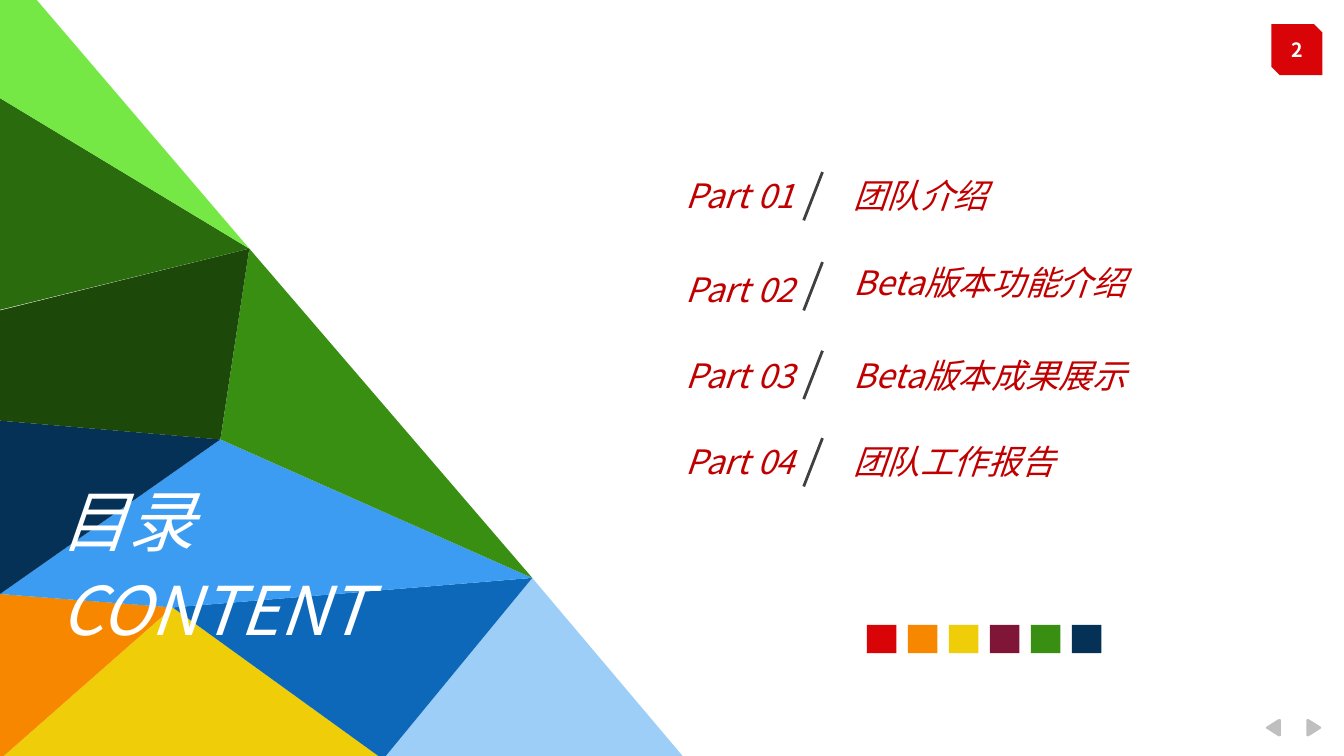
from lxml.etree import SubElement
from pptx import Presentation
from pptx.dml.color import RGBColor
from pptx.enum.shapes import MSO_CONNECTOR, MSO_SHAPE as SHAPE
from pptx.enum.text import PP_ALIGN as ALIGN
from pptx.oxml.ns import qn
from pptx.util import Pt

PX = 4572  # EMU per px, 200 px to the inch
FONT = "Noto Sans CJK SC"
C = {
    "red": "D80407", "orange": "F88700", "yellow": "EFCD09", "plum": "801637",
    "green": "388F12", "navy": "063157", "lime": "76E845", "forest": "2A6B0D",
    "moss": "1C4809", "sky": "3C9CF2", "blue": "0D68B9", "pale": "9DCEF8",
    "text": "C00000", "white": "FFFFFF", "slash": "404040", "arrow": "BFBFBF",
}

prs = Presentation()
prs.slide_width, prs.slide_height = 2000 * PX, 1125 * PX
shapes = prs.slides.add_slide(prs.slide_layouts[6]).shapes


def paint(sp, color):
    sp.shadow.inherit = False
    sp.fill.solid()
    sp.fill.fore_color.rgb = RGBColor.from_string(C[color])
    sp.line.fill.background()


def add_text(text, x, y, w, h, size, color, align=ALIGN.LEFT, bold=False, wrap=True):
    tf = shapes.add_textbox(x * PX, y * PX, w * PX, h * PX).text_frame
    tf.word_wrap = wrap
    p = tf.paragraphs[0]
    p.text, p.alignment = text, align
    f = p.font
    f.size, f.name, f.bold, f.italic = Pt(size), FONT, bold, not bold
    f.color.rgb = RGBColor.from_string(C[color])
    # East Asian typeface
    SubElement(p._p.pPr.find(qn("a:defRPr")), qn("a:ea"), typeface=FONT)


# Previous / next arrows, mirrored about a vertical axis
next_arrow = [(1944, 1071), (1947, 1070), (1966, 1082),
              (1966, 1084), (1947, 1096), (1944, 1095)]
prev_arrow = [(3850 - x, y) for x, y in next_arrow]

# Mosaic of facets sharing corner points
top, upper, lower = (371, 370), (328, 654), (792, 860)
hub, base, left = (257, 904), (570, 1130), (0, 884)
facets = [
    ("arrow", next_arrow),
    ("arrow", prev_arrow),
    ("pale", [base, lower, (1020, 1130)]),
    ("yellow", [hub, base, (0, 1130)]),
    ("orange", [hub, (0, 1130), left]),
    ("blue", [base, hub, lower]),
    ("sky", [lower, hub, left, upper]),
    ("green", [lower, upper, top]),
    ("navy", [upper, left, (0, 626)]),
    ("moss", [upper, (0, 626), (0, 462), top]),
    ("forest", [top, (0, 461), (0, 146)]),
    ("lime", [top, (0, 146), (0, -64)]),
]
for color, pts in facets:
    fb = shapes.build_freeform(*pts[0], scale=PX)
    fb.add_line_segments(pts[1:], close=True)
    paint(fb.convert_to_shape(), color)

# Page number badge
badge = shapes.add_shape(SHAPE.SNIP_2_DIAG_RECTANGLE, 1892 * PX, 36 * PX, 76 * PX, 76 * PX)
paint(badge, "red")
add_text("2", 1892, 46, 76, 56, 10.5, "white", ALIGN.CENTER, bold=True, wrap=False)

# Colour swatches
for i, color in enumerate(["red", "orange", "yellow", "plum", "green", "navy"]):
    sp = shapes.add_shape(SHAPE.RECTANGLE, (1290 + 61 * i) * PX, 930 * PX, 44 * PX, 42 * PX)
    paint(sp, color)

# Contents list: title, title top, part top, slash top
parts = [
    ("团队介绍", 250, 250, 256),
    ("Beta版本功能介绍", 380, 390, 390),
    ("Beta版本成果展示", 518, 518, 522),
    ("团队工作报告", 646, 646, 652),
]
for n, (title, title_y, part_y, slash_y) in enumerate(parts, 1):
    add_text(title, 1250, title_y, 566, 80, 18, "text")
    add_text(f"Part {n:02}", 852, part_y, 350, 80, 18, "text", ALIGN.RIGHT)
    ln = shapes.add_connector(MSO_CONNECTOR.STRAIGHT, 1196 * PX, (slash_y + 72) * PX,
                              1224 * PX, slash_y * PX)
    ln.line.color.rgb = RGBColor.from_string(C["slash"])
    ln.line.width = Pt(1.5)
    SubElement(ln._element.spPr, qn("a:effectLst"))

# Slide title
add_text("CONTENT", 70, 836, 680, 262, 36, "white")
add_text("目录", 70, 704, 328, 142, 36, "white")

prs.save("out.pptx")
